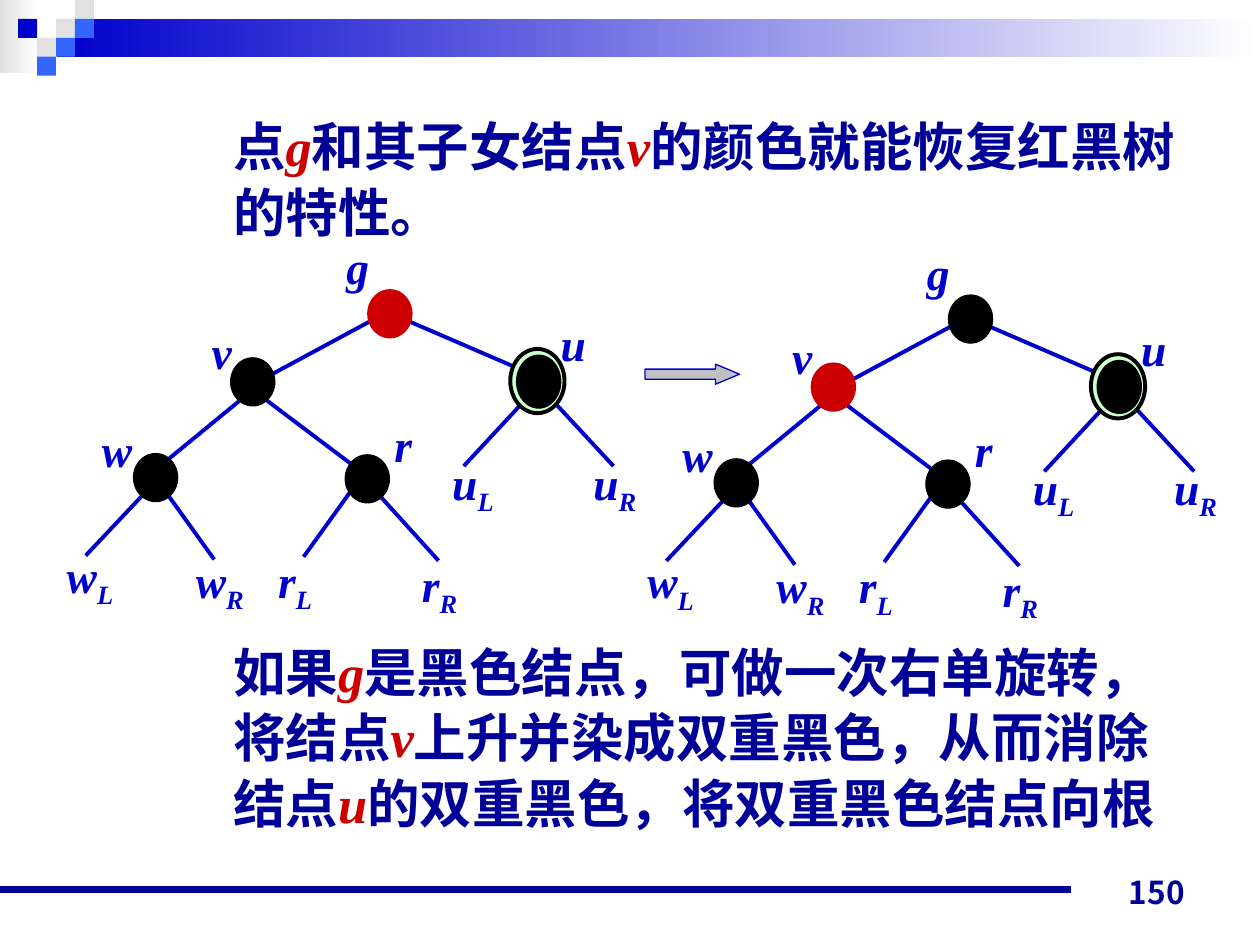
"""Build a slide on recolouring and rotating a red-black tree."""
from lxml import etree
from pptx import Presentation
from pptx.dml.color import RGBColor
from pptx.enum.lang import MSO_LANGUAGE_ID
from pptx.enum.shapes import MSO_CONNECTOR, MSO_SHAPE
from pptx.enum.text import MSO_ANCHOR, MSO_AUTO_SIZE, PP_ALIGN
from pptx.oxml.ns import qn
from pptx.util import Pt

RECTANGLE, OVAL, ARROW = MSO_SHAPE.RECTANGLE, MSO_SHAPE.OVAL, MSO_SHAPE.RIGHT_ARROW
STRAIGHT = MSO_CONNECTOR.STRAIGHT
CHINESE = MSO_LANGUAGE_ID.SIMPLIFIED_CHINESE
SERIF, SANS = "Times New Roman", "Noto Sans CJK JP"
COLORS = {
    name: RGBColor.from_string(value)
    for name, value in {
        "navy": "000099", "blue": "0000CC", "sky": "3366FF", "red": "CC0000",
        "black": "000000", "mint": "CCFFCC", "silver": "C0C0C0",
        "gray": "E1E1E1", "white": "FFFFFF",
    }.items()
}

presentation = Presentation()
presentation.slide_width, presentation.slide_height = Pt(720), Pt(540)
slide = presentation.slides.add_slide(presentation.slide_layouts[1])
title = slide.shapes.title
title.element.getparent().remove(title.element)


def add_shape(kind, left, top, width, height, fill, line=None, line_width=0.75):
    shape = slide.shapes.add_shape(kind, Pt(left), Pt(top), Pt(width), Pt(height))
    shape.shadow.inherit = False
    shape.fill.solid()
    shape.fill.fore_color.rgb = COLORS[fill]
    if line:
        shape.line.color.rgb = COLORS[line]
        shape.line.width = Pt(line_width)
    else:
        shape.line.fill.background()
    return shape


def add_line(start_x, start_y, end_x, end_y, color, width):
    line = slide.shapes.add_connector(STRAIGHT, Pt(start_x), Pt(start_y), Pt(end_x), Pt(end_y))
    line.line.color.rgb = COLORS[color]
    line.line.width = Pt(width)
    etree.SubElement(line.element.spPr, qn("a:effectLst"))


for left, top, width, height, color in [(0, 0, 22.3, 41.8, "gray"), (32.4, 10.8, 687.6, 21.6, "blue")]:
    band = add_shape(RECTANGLE, left, top, width, height, color)
    band.fill.gradient()
    band.fill.gradient_angle = 0
    for stop, stop_color in zip(band.fill.gradient_stops, (color, "white")):
        stop.color.rgb = COLORS[stop_color]

TILE = 10.8
for column, row, color in [
    (2, 1, "gray"), (3, 0, "gray"), (3, 1, "sky"), (1, 2, "gray"),
    (0, 1, "blue"), (2, 2, "sky"), (1, 3, "sky"),
]:
    add_shape(RECTANGLE, 10.4 + column * TILE, row * TILE, TILE, TILE, color)

add_line(0, 508.3, 612, 508.3, "navy", 4.5)
number_box = slide.shapes.add_textbox(Pt(516), Pt(488), Pt(168), Pt(36))
number_box.text_frame.word_wrap = True
number_box.text_frame.vertical_anchor = MSO_ANCHOR.BOTTOM
paragraph = number_box.text_frame.paragraphs[0]
paragraph.text = "150"
paragraph.alignment = PP_ALIGN.RIGHT
paragraph.font.name, paragraph.font.size, paragraph.font.bold = SANS, Pt(18), True
paragraph.font.color.rgb = COLORS["navy"]

body = slide.placeholders[1]
body.left, body.top, body.width, body.height = Pt(36), Pt(60), Pt(648), Pt(480)
body.text_frame.auto_size = MSO_AUTO_SIZE.NONE
body.text_frame.vertical_anchor = MSO_ANCHOR.TOP
sentences = [
    (0, ["点", "g", "和其子女结点", "v", "的颜色就能恢复红黑树的特性。"]),
    (225.5, ["如果", "g", "是黑色结点，可做一次右单旋转，将结点", "v",
             "上升并染成双重黑色，从而消除结点", "u", "的双重黑色，将双重黑色结点向根"]),
]
for index, (space_before, parts) in enumerate(sentences):
    paragraph = body.text_frame.paragraphs[0] if index == 0 else body.text_frame.add_paragraph()
    properties = paragraph._p.get_or_add_pPr()
    properties.set("marL", str(Pt(90)))
    properties.set("indent", "0")
    etree.SubElement(properties, qn("a:buNone"))
    paragraph.space_before = Pt(space_before)
    paragraph.line_spacing = Pt(37.5)
    for part in parts:
        run = paragraph.add_run()
        run.text = part
        is_node = part in "gvu"
        run.font.name, run.font.size, run.font.bold = SERIF, Pt(30), True
        run.font.italic = is_node
        run.font.color.rgb = COLORS["red" if is_node else "navy"]
        run.font.language_id = CHINESE
        east_asian = etree.SubElement(run._r.get_or_add_rPr(), qn("a:ea"))
        east_asian.set("typeface", SANS)

labels = [
    ("g", 190.8, 133.2), ("v", 113.8, 181.4), ("u", 313.2, 177.1), ("w", 51.1, 237.6),
    ("r", 218.2, 234.7), ("uL", 251.3, 256.3), ("uR", 332, 256.3), ("wL", 31, 309.6),
    ("wR", 104.8, 312.5), ("rL", 151.9, 312.5), ("rR", 234, 314.6),
]
edges = [
    (230.4, 182.2, 298.8, 211.7), (218.2, 180, 155.5, 213.8),
    (301.7, 226.8, 265, 266.4), (313.9, 226.8, 350.6, 266.4),
    (140.4, 226.1, 91.4, 266.4), (149.8, 226.8, 202.3, 266.4),
    (200.9, 280.1, 173.5, 318.2), (216, 282.2, 250.6, 320.4),
    (84.2, 280.1, 49, 317.5), (95, 281.5, 122.4, 319.7),
]
nodes = {"g": (210.2, 165.6), "v": (131.8, 204.5), "r": (197.3, 259.9), "w": (76.3, 259.2)}

for shift_x, shift_y, red_node in [(0, 0, "g"), (331.8, 3, "v")]:
    for text, left, top in labels:
        label = slide.shapes.add_textbox(Pt(left + shift_x), Pt(top + shift_y), Pt(60), Pt(63))
        label.text_frame.word_wrap = True
        paragraph = label.text_frame.paragraphs[0]
        for position, letter in enumerate(text):
            run = paragraph.add_run()
            run.text = letter
            run.font.name, run.font.size = SERIF, Pt(26)
            run.font.bold = run.font.italic = True
            run.font.color.rgb = COLORS["blue"]
            if position:
                run._r.get_or_add_rPr().set("baseline", "-25000")
    for start_x, start_y, end_x, end_y in edges:
        add_line(start_x + shift_x, start_y + shift_y, end_x + shift_x, end_y + shift_y, "blue", 2.25)
    for name, (left, top) in nodes.items():
        color = "red" if name == red_node else "black"
        add_shape(OVAL, left + shift_x, top + shift_y, 25.2, 27.4, color, color)
    add_shape(OVAL, 291.6 + shift_x, 199.4 + shift_y, 31, 36.7, "mint", "black", 2.25)
    add_shape(OVAL, 295.2 + shift_x, 203 + shift_y, 25.2, 30.2, "black", "black")

arrow = add_shape(ARROW, 368.6, 208.1, 54, 11.5, "silver", "blue")
arrow.adjustments[0], arrow.adjustments[1] = 0.5, 1.197

presentation.save("out.pptx")
